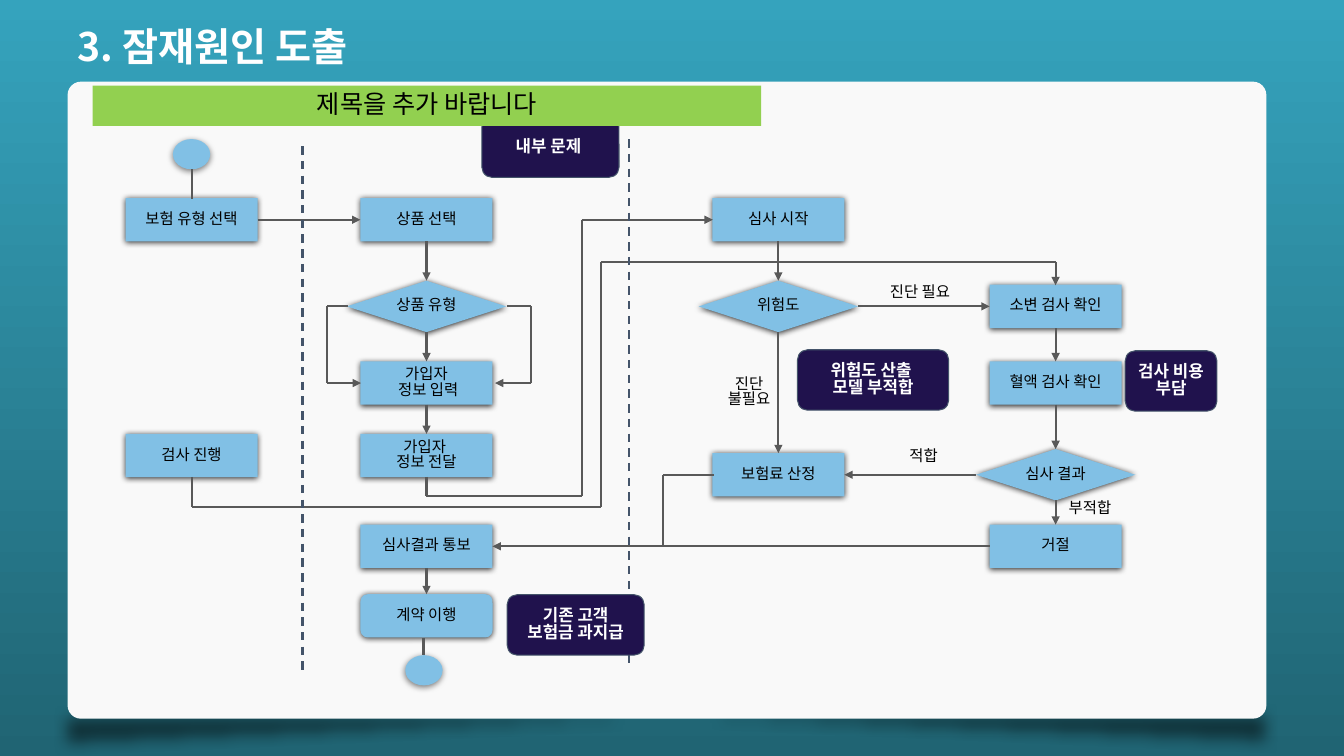
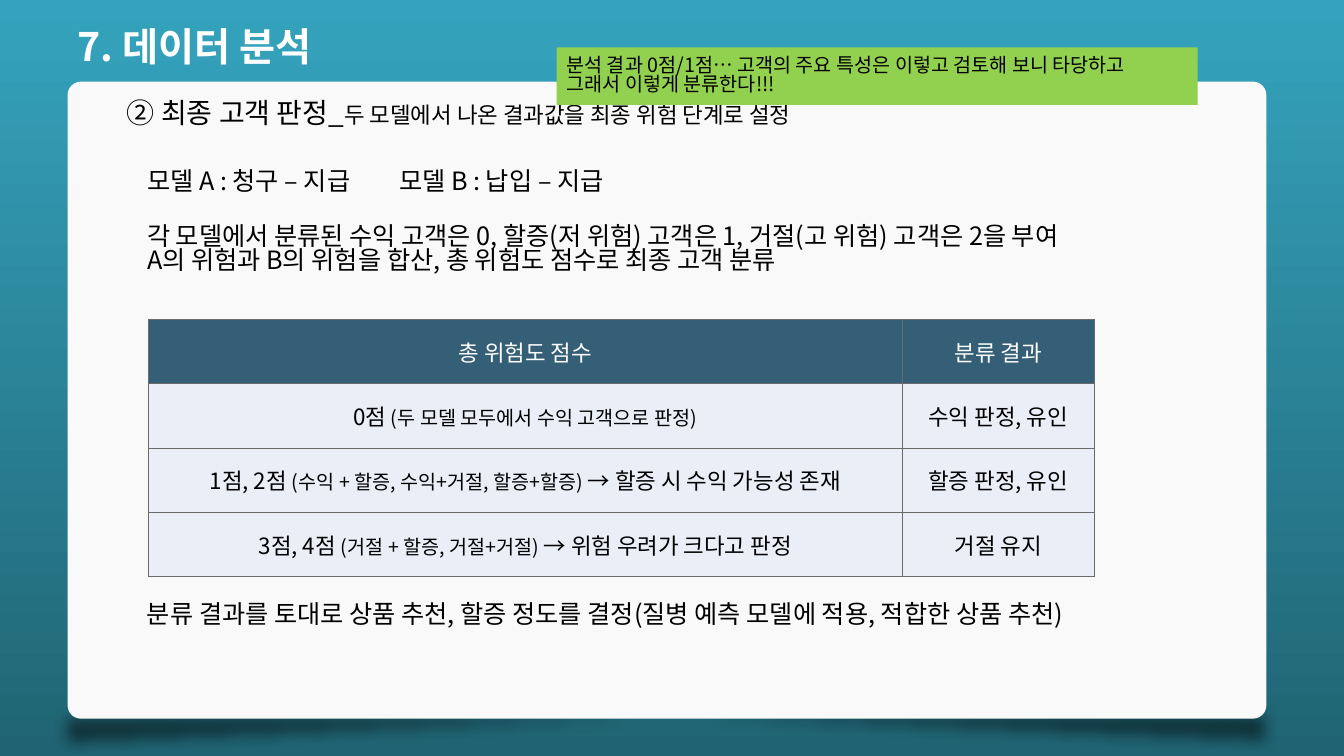
import itertools

import lxml.etree
import pptx
import pptx.dml.color
import pptx.enum.dml
import pptx.enum.shapes
import pptx.enum.text
import pptx.oxml.ns
import pptx.util

Inches = pptx.util.Inches
Pt = pptx.util.Pt
qn = pptx.oxml.ns.qn
SHAPE = pptx.enum.shapes.MSO_SHAPE
ALIGN = pptx.enum.text.PP_ALIGN
ANCHOR = pptx.enum.text.MSO_ANCHOR

FONT = "Noto Sans CJK KR"
BLACK, WHITE, PANEL = "000000", "FFFFFF", "F9F9F9"
SKY, NAVY, GREEN = "81C0E5", "20124D", "92D050"
WIRE, SLATE = "595959", "44546A"
HEADER, CELL, BORDER = "355F77", "EAEFF7", "6A6A6A"


def paint(fill, *colors):
    if len(colors) == 1:
        fill.solid()
        fill.fore_color.rgb = pptx.dml.color.RGBColor.from_string(colors[0])
        return
    fill.gradient()
    fill.gradient_angle = 270
    for stop, color in zip(fill.gradient_stops, colors):
        stop.color.rgb = pptx.dml.color.RGBColor.from_string(color)


def write(frame, paragraphs, size, color=BLACK, align=ALIGN.LEFT, anchor=ANCHOR.TOP,
          margins=(0.1, 0.05), bold=False, spacing=0.82):
    frame.word_wrap = True
    frame.auto_size = pptx.enum.text.MSO_AUTO_SIZE.NONE
    frame.vertical_anchor = anchor
    frame.margin_left = frame.margin_right = Inches(margins[0])
    frame.margin_top = frame.margin_bottom = Inches(margins[1])
    for index, runs in enumerate(paragraphs):
        paragraph = frame.add_paragraph() if index else frame.paragraphs[0]
        paragraph.alignment = align
        paragraph.line_spacing = spacing
        for text, run_size in [(runs, size)] if isinstance(runs, str) else runs:
            run = paragraph.add_run()
            run.text = text
            run.font.size = Pt(run_size)
            run.font.bold = bold
            run.font.name = FONT
            paint(run.font.fill, color)
            east_asian = lxml.etree.SubElement(run.font._element, qn("a:ea"))
            east_asian.set("typeface", FONT)


presentation = pptx.Presentation()
presentation.slide_width = Inches(13.33)
presentation.slide_height = Inches(7.5)
paint(presentation.slide_master.background.fill, "35A3BD", "206473")

layout = presentation.slide_layouts[5]
title = layout.placeholders[0]
title.left, title.top, title.width, title.height = map(Inches, (0.67, 0.21, 7.52, 0.57))

slides = []
for heading in ("3. 잠재원인 도출", "7. 데이터 분석"):
    slide = presentation.slides.add_slide(layout)
    write(slide.shapes.title.text_frame, [heading], 28, WHITE, anchor=ANCHOR.MIDDLE, bold=True)
    slides.append(slide)
flow, analysis = slides

backdrop = [
    (SHAPE.RIGHT_TRIANGLE, (0.65, 6.98, 12.02, 0.5), BLACK, ("flipH", "flipV")),
    (SHAPE.RIGHT_TRIANGLE, (0.54, 7, 12.02, 0.5), BLACK, ("flipV",)),
    (SHAPE.ROUNDED_RECTANGLE, (0.67, 0.81, 11.89, 6.32), PANEL, ()),
]
for kind, box, color, flips in backdrop:
    shape = flow.shapes.add_shape(kind, *map(Inches, box))
    paint(shape.fill, color)
    shape.line.fill.background()
    shape.shadow.inherit = False
    properties = shape._element.spPr
    for flip in flips:
        properties.find(qn("a:xfrm")).set(flip, "1")
    if flips:
        tint = properties.find(qn("a:solidFill"))[0]
        lxml.etree.SubElement(tint, qn("a:alpha")).set("val", "51000")
        soft_edge = lxml.etree.SubElement(properties.find(qn("a:effectLst")), qn("a:softEdge"))
        soft_edge.set("rad", str(Inches(0.14)))
    else:
        shape.adjustments[0] = 0.021
    layout.shapes._spTree.append(shape._element)

columns = dict(customer=1.9, sales=4.23, review=7.72, test=10.47)
rows = dict(start=1.53, choose=2.18, decide=3.04, enter=3.8, send=4.52,
            result=4.71, notify=5.42, fulfil=6.11, end=6.65)
sizes = {SHAPE.RECTANGLE: (1.31, 0.43), SHAPE.ROUNDED_RECTANGLE: (1.31, 0.43),
         SHAPE.FLOWCHART_DECISION: (1.58, 0.51), SHAPE.OVAL: (0.37, 0.3)}
steps = [
    ("customer", "start", SHAPE.OVAL, []),
    ("customer", "choose", SHAPE.RECTANGLE, ["보험 유형 선택"]),
    ("customer", "send", SHAPE.RECTANGLE, ["검사 진행"]),
    ("sales", "choose", SHAPE.RECTANGLE, ["상품 선택"]),
    ("sales", "decide", SHAPE.FLOWCHART_DECISION, ["상품 유형"]),
    ("sales", "enter", SHAPE.RECTANGLE, ["가입자", " 정보 입력"]),
    ("sales", "send", SHAPE.RECTANGLE, ["가입자 ", "정보 전달"]),
    ("sales", "notify", SHAPE.RECTANGLE, ["심사결과 통보"]),
    ("sales", "fulfil", SHAPE.ROUNDED_RECTANGLE, ["계약 이행"]),
    ("sales", "end", SHAPE.OVAL, []),
    ("review", "choose", SHAPE.RECTANGLE, ["심사 시작"]),
    ("review", "decide", SHAPE.FLOWCHART_DECISION, ["위험도"]),
    ("review", "result", SHAPE.RECTANGLE, ["보험료 산정"]),
    ("test", "decide", SHAPE.RECTANGLE, ["소변 검사 확인"]),
    ("test", "enter", SHAPE.RECTANGLE, ["혈액 검사 확인"]),
    ("test", "result", SHAPE.FLOWCHART_DECISION, ["심사 결과"]),
    ("test", "notify", SHAPE.RECTANGLE, ["거절"]),
]
nodes = {}
for column, row, kind, lines in steps:
    width, height = sizes[kind]
    shape = flow.shapes.add_shape(kind, Inches(columns[column] - width / 2),
                                  Inches(rows[row] - height / 2), Inches(width), Inches(height))
    paint(shape.fill, SKY)
    shape.line.fill.background()
    shape.shadow.inherit = False
    distance, opacity = (1.5, 50) if kind == SHAPE.OVAL else (0.8, 80)
    shadow = lxml.etree.SubElement(shape._element.spPr.find(qn("a:effectLst")), qn("a:outerShdw"),
                                   blurRad=str(Pt(4.5)), dist=str(Pt(distance)), dir="5400000")
    shade = lxml.etree.SubElement(shadow, qn("a:srgbClr"), val=BLACK)
    lxml.etree.SubElement(shade, qn("a:alpha"), val=str(opacity * 1000))
    write(shape.text_frame, lines, 11, align=ALIGN.CENTER, anchor=ANCHOR.MIDDLE,
          margins=(0.01, 0.01))
    nodes[column, row] = shape
nodes["sales", "end"].left = Inches(4.02)

TOP, LEFT, BOTTOM, RIGHT = range(4)
links = [
    ("customer choose", RIGHT, "sales choose", LEFT),
    ("sales choose", BOTTOM, "sales decide", TOP),
    ("sales decide", BOTTOM, "sales enter", TOP),
    ("sales enter", BOTTOM, "sales send", TOP),
    ("sales notify", BOTTOM, "sales fulfil", TOP),
    ("review choose", BOTTOM, "review decide", TOP),
    ("review decide", BOTTOM, "review result", TOP),
    ("review decide", RIGHT, "test decide", LEFT),
    ("test decide", BOTTOM, "test enter", TOP),
    ("test enter", BOTTOM, "test result", TOP),
    ("test result", LEFT, "review result", RIGHT),
    ("test result", BOTTOM, "test notify", TOP),
    ("test notify", LEFT, "sales notify", RIGHT),
]
customer, sales, review, test = columns.values()
choose, decide, enter, result, notify = (
    rows[name] for name in ("choose", "decide", "enter", "result", "notify"))
routes = [
    (WIRE, True, [(3.45, decide), (3.24, decide), (3.24, enter), (3.58, enter)]),
    (WIRE, True, [(5.03, decide), (5.27, decide), (5.27, enter), (4.91, enter)]),
    (WIRE, True, [(sales, 4.73), (sales, 4.92), (5.77, 4.92), (5.77, choose), (7.07, choose)]),
    (WIRE, True, [(customer, 4.73), (customer, 5.03), (5.96, 5.03), (5.96, 2.6), (test, 2.6),
                  (test, 2.83)]),
    (WIRE, False, [(7.08, result), (6.58, result), (6.58, notify)]),
    (WIRE, False, [(customer, 1.68), (customer, 1.97)]),
    (WIRE, False, [(4.2, 6.33), (4.2, 6.5)]),
    (SLATE, False, [(3, 1.45), (3, 6.67)]),
    (SLATE, False, [(6.24, 1.38), (6.24, 6.6)]),
]
STRAIGHT = pptx.enum.shapes.MSO_CONNECTOR.STRAIGHT
connectors = []
for start, start_site, end, end_site in links:
    connector = flow.shapes.add_connector(STRAIGHT, 0, 0, 0, 0)
    connector.begin_connect(nodes[tuple(start.split())], start_site)
    connector.end_connect(nodes[tuple(end.split())], end_site)
    connectors.append((connector, WIRE, True))
for color, arrow, points in routes:
    for start, end in itertools.pairwise(points):
        connector = flow.shapes.add_connector(STRAIGHT, *map(Inches, start + end))
        connectors.append((connector, color, arrow and end == points[-1]))
for connector, color, arrow in connectors:
    paint(connector.line.fill, color)
    connector.line.width = Pt(1.5)
    if color == SLATE:
        connector.line.dash_style = pptx.enum.dml.MSO_LINE.DASH
    if arrow:
        lxml.etree.SubElement(connector.line._get_or_add_ln(), qn("a:tailEnd"), type="triangle")
    lxml.etree.SubElement(connector._element.spPr, qn("a:effectLst"))

branch_labels = [
    ((9.02, 4.46, 0.38, 0.19), ["적합"]),
    ((10.6, 4.97, 0.6, 0.19), ["부적합"]),
    ((8.68, 2.83, 0.89, 0.19), ["진단 필요"]),
    ((7.13, 3.74, 0.6, 0.39), ["진단", "불필요"]),
]
for box, lines in branch_labels:
    label = flow.shapes.add_textbox(*map(Inches, box))
    align = ALIGN.LEFT if box[0] > 9 else ALIGN.CENTER
    write(label.text_frame, lines, 11, align=align, margins=(0, 0))

problems = [
    ((4.78, 1.16, 1.36, 0.6), ["내부 문제 "]),
    ((7.91, 3.47, 1.5, 0.6), ["위험도 산출 ", "모델 부적합"]),
    ((11.16, 3.48, 0.91, 0.6), ["검사 비용", "부담"]),
    ((5.03, 5.9, 1.36, 0.6), ["기존 고객", "보험금 과지급"]),
]
for box, lines in problems:
    shape = flow.shapes.add_shape(SHAPE.ROUNDED_RECTANGLE, *map(Inches, box))
    paint(shape.fill, NAVY)
    paint(shape.line.fill, SLATE)
    shape.line.width = Pt(0.75)
    shape.shadow.inherit = False
    write(shape.text_frame, lines, 12, WHITE, ALIGN.CENTER, ANCHOR.MIDDLE, (0.01, 0.01), True)

passages = [
    ((1.16, 0.96, 8.94, 0.44),
     [[("② 최종 고객 판정_", 20), ("두 모델에서 나온 결과값을 최종 위험 단계로 설정", 16)]]),
    ((1.36, 1.64, 10.41, 1.31),
     ["모델 A : 청구 – 지급\t모델 B : 납입 – 지급",
      "각 모델에서 분류된 수익 고객은 0, 할증(저 위험) 고객은 1, 거절(고 위험) 고객은 2을 부여",
      "A의 위험과 B의 위험을 합산, 총 위험도 점수로 최종 고객 분류"]),
    ((1.36, 5.94, 10.03, 0.4),
     ["분류 결과를 토대로 상품 추천, 할증 정도를 결정(질병 예측 모델에 적용, 적합한 상품 추천)"]),
]
for box, paragraphs in passages:
    passage = analysis.shapes.add_textbox(*map(Inches, box))
    write(passage.text_frame, paragraphs, 18)
    if len(paragraphs) > 1:
        passage.text_frame.paragraphs[1].space_before = Pt(21.5)

scores = [
    ("총 위험도 점수", "분류 결과"),
    ([("0점 ", 16), ("(두 모델 모두에서 수익 고객으로 판정)", 14)], "수익 판정, 유인"),
    ([("1점, 2점 ", 16), ("(수익 + 할증, 수익+거절, 할증+할증) ", 14),
      ("→ 할증 시 수익 가능성 존재", 16)], "할증 판정, 유인"),
    ([("3점, 4점 ", 16), ("(거절 + 할증, 거절+거절) ", 14),
      ("→ 위험 우려가 크다고 판정", 16)], "거절 유지"),
]
table = analysis.shapes.add_table(len(scores), 2, *map(Inches, (1.47, 3.17, 9.38, 2.55))).table
for column, width in zip(table.columns, (7.48, 1.9)):
    column.width = Inches(width)
for row_index, score in enumerate(scores):
    for column_index, content in enumerate(score):
        cell = table.cell(row_index, column_index)
        fill, color = (CELL, BLACK) if row_index else (HEADER, WHITE)
        paint(cell.fill, fill)
        write(cell.text_frame, [content], 16, color, ALIGN.CENTER, spacing=1)
        cell.vertical_anchor = ANCHOR.MIDDLE
        cell.margin_left = cell.margin_right = Inches(0.1)
        cell.margin_top = cell.margin_bottom = 0
        properties = cell._tc.get_or_add_tcPr()
        for index, side in enumerate(("a:lnL", "a:lnR", "a:lnT", "a:lnB")):
            edge = lxml.etree.Element(qn(side), w=str(Pt(0.75)))
            edge_fill = lxml.etree.SubElement(edge, qn("a:solidFill"))
            lxml.etree.SubElement(edge_fill, qn("a:srgbClr"), val=BORDER)
            properties.insert(index, edge)

banners = [
    (flow, (0.92, 0.85, 6.63, 0.4), 18, ALIGN.CENTER, ["제목을 추가 바랍니다"]),
    (analysis, (5.52, 0.47, 6.36, 0.57), 14, ALIGN.LEFT,
     ["분석 결과 0점/1점… 고객의 주요 특성은 이렇고 검토해 보니 타당하고",
      "그래서 이렇게 분류한다!!!"]),
]
for slide, box, size, align, lines in banners:
    banner = slide.shapes.add_shape(SHAPE.RECTANGLE, *map(Inches, box))
    paint(banner.fill, GREEN)
    banner.line.fill.background()
    banner.shadow.inherit = False
    write(banner.text_frame, lines, size, align=align, anchor=ANCHOR.MIDDLE)

presentation.save("out.pptx")
